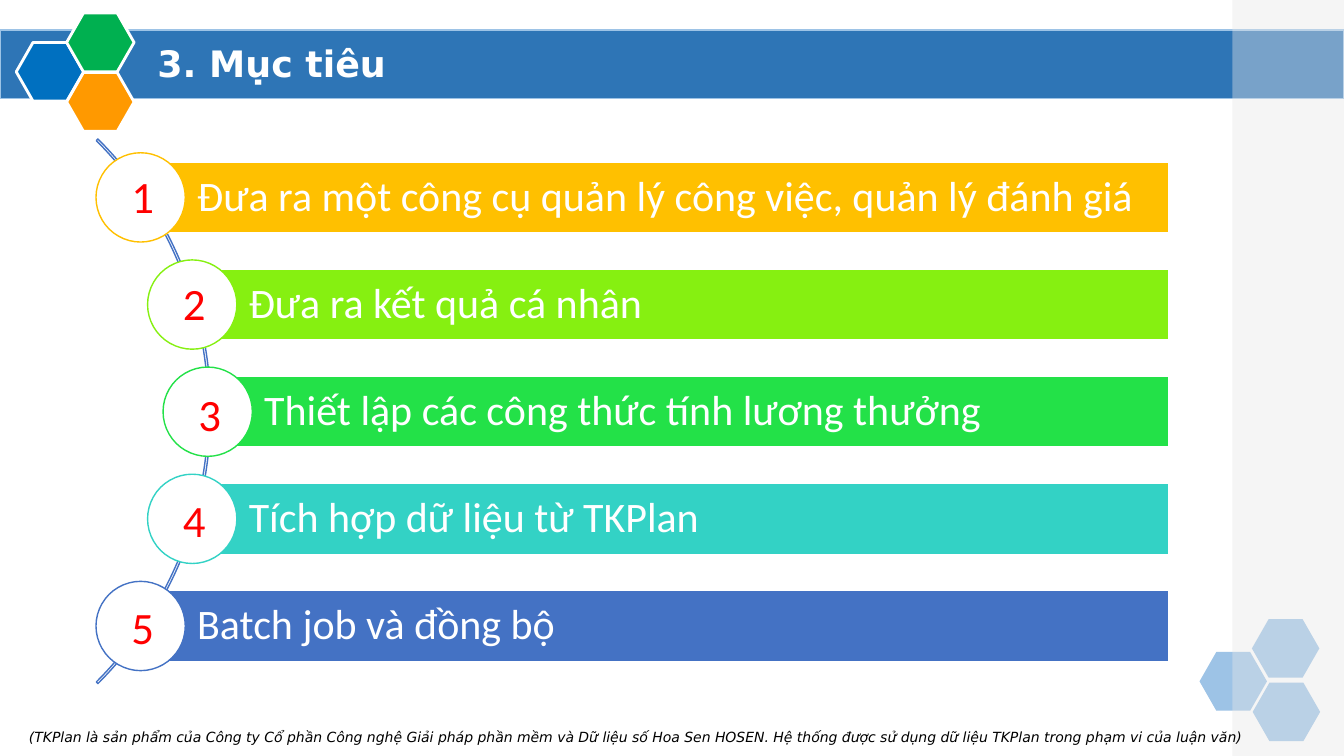
from pptx import Presentation
from pptx.dml.color import RGBColor
from pptx.enum.shapes import MSO_SHAPE as Shape
from pptx.enum.text import MSO_ANCHOR as Anchor, PP_ALIGN as Align
from pptx.oxml.ns import qn
from pptx.util import Cm, Pt
from lxml.etree import SubElement

deck = Presentation()
deck.slide_width, deck.slide_height = Cm(33.87), Cm(19.05)
page = deck.slides.add_slide(deck.slide_layouts[5])


def add_figure(kind, left, top, width, height, fill=None, line=None, weight=1):
    figure = page.shapes.add_shape(kind, Cm(left), Cm(top), Cm(width), Cm(height))
    figure.shadow.inherit = False
    if fill:
        figure.fill.solid()
        figure.fill.fore_color.rgb = RGBColor.from_string(fill)
    else:
        figure.fill.background()
    if line:
        figure.line.color.rgb = RGBColor.from_string(line)
        figure.line.width = Pt(weight)
    else:
        figure.line.fill.background()
    return figure


def write(box, text, size, font, color, bold=False, italic=False):
    """Put one left-aligned run in the box and return its paragraph."""
    box.text_frame.word_wrap = True
    para = box.text_frame.paragraphs[0]
    para.alignment = Align.LEFT
    span = para.add_run()
    span.text = text
    span.font.size, span.font.name = Pt(size), font
    span.font.bold, span.font.italic = bold, italic
    span.font.color.rgb = RGBColor.from_string(color)
    return para


# Header band, side strip and hexagon clusters
add_figure(Shape.RECTANGLE, 0, 0.76, 33.87, 1.73, "2E75B6", "9DC3E6")
hexagons = [
    (31.55, 15.6, "9DC3E6", None),
    (30.23, 16.43, "9DC3E6", None),
    (31.57, 17.2, "9DC3E6", None),
    (0.41, 1.07, "0070C0", "FFFFFF"),
    (1.68, 1.83, "FF9900", "FFFFFF"),
    (1.68, 0.33, "00B050", "FFFFFF"),
]
for index, (left, top, fill, line) in enumerate(hexagons):
    if index == 3:
        strip = add_figure(Shape.RECTANGLE, 31.06, 0, 2.81, 19.05, "E7E6E6")
        tint = strip.fill._xPr.find(qn("a:solidFill"))[0]
        SubElement(tint, qn("a:alpha"), val="40000")
    hexagon = add_figure(Shape.HEXAGON, left, top, 1.7, 1.48, fill, line, 2)
    hexagon.adjustments[0] = 0.286

# Title, lifted above the header band
title = page.shapes.title
title.left, title.top, title.width, title.height = Cm(3.71), Cm(0.91), Cm(27.46), Cm(1.37)
title.text_frame.vertical_anchor = Anchor.TOP
write(title, "3. Mục tiêu", 26, "DejaVu Sans", "FFFFFF", bold=True)
page.shapes._spTree.append(title._element)

# Goals along the arc
arc = add_figure(Shape.BLOCK_ARC, -14.1, 0.66, 19.41, 19.41, line="4472C4")
for index, value in enumerate((189, 27, 0.003)):
    arc.adjustments[index] = value

bars_right, first_top, pitch = 29.46, 4.08, 2.7
goals = [
    ("Đưa ra một công cụ quản lý công việc, quản lý đánh giá", "FFC000", 3.55, 0.05),
    ("Đưa ra kết quả cá nhân", "86F011", 4.85, 0.05),
    ("Thiết lập các công thức tính lương thưởng", "23E148", 5.24, 0.15),
    ("Tích hợp dữ liệu từ TKPlan", "33D2C5", 4.85, 0.1),
    ("Batch job và đồng bộ", "4472C4", 3.55, 0.1),
]
for index, (goal, color, left, digit_drop) in enumerate(goals):
    top = first_top + index * pitch
    bar = add_figure(Shape.RECTANGLE, left, top, bars_right - left, 1.79, color, "FFFFFF")
    frame = bar.text_frame
    frame.vertical_anchor = Anchor.MIDDLE
    frame.margin_left = Cm(1.42)
    frame.margin_top = frame.margin_right = frame.margin_bottom = Cm(0.2)
    write(bar, goal, 30, "Calibri", "FFFFFF").line_spacing = 0.9
    add_figure(Shape.OVAL, left - 1.13, top - 0.23, 2.25, 2.25, "FFFFFF", color)
    number = page.shapes.add_textbox(Cm(left - 0.49), Cm(top + digit_drop), Cm(1.8), Cm(1.63))
    write(number, str(index + 1), 32, "Calibri", "FF0000")

# Footnote
note = page.shapes.add_textbox(Cm(0.48), Cm(17.81), Cm(32.18), Cm(0.97))
note_text = (
    "(TKPlan là sản phẩm của Công ty Cổ phần Công nghệ Giải pháp phần mềm và Dữ liệu số "
    "Hoa Sen HOSEN. Hệ thống được sử dụng dữ liệu TKPlan trong phạm vi của luận văn)"
)
write(note, note_text, 10, "DejaVu Sans", "000000", italic=True).line_spacing = 2.0

deck.save("out.pptx")
